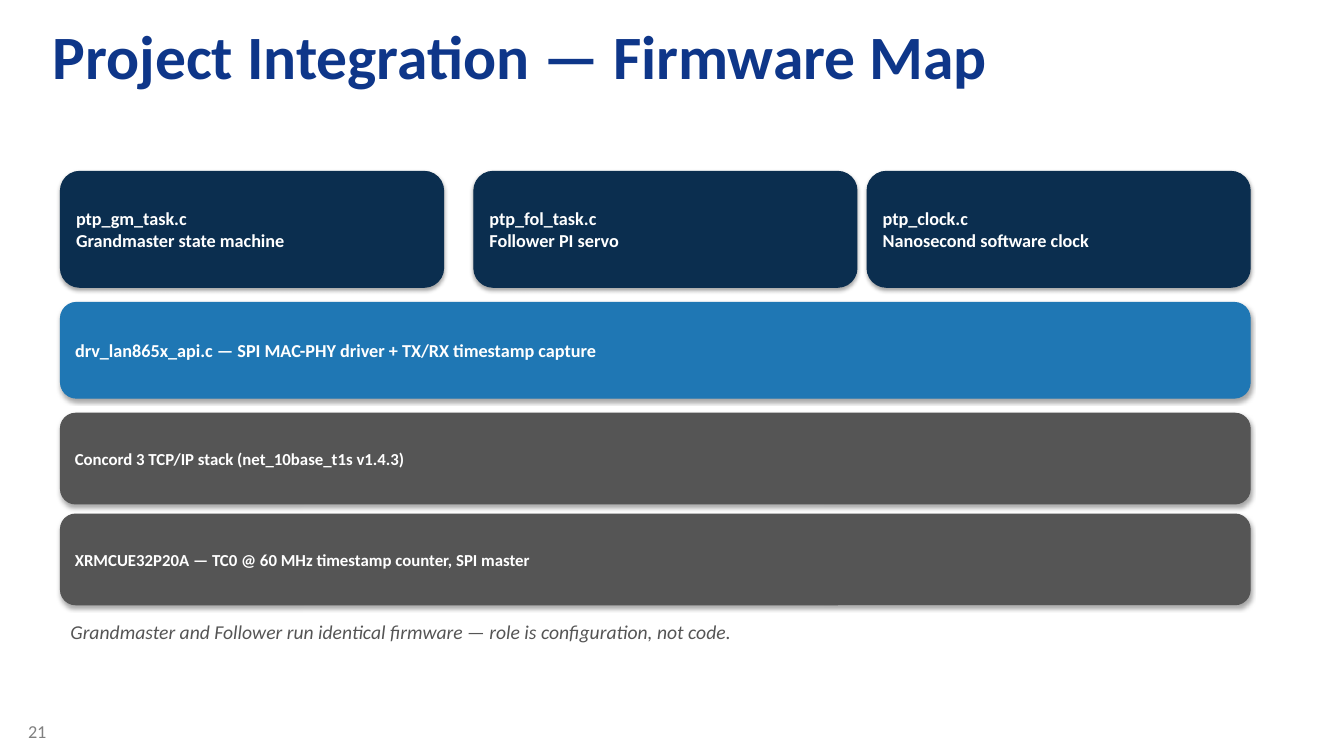
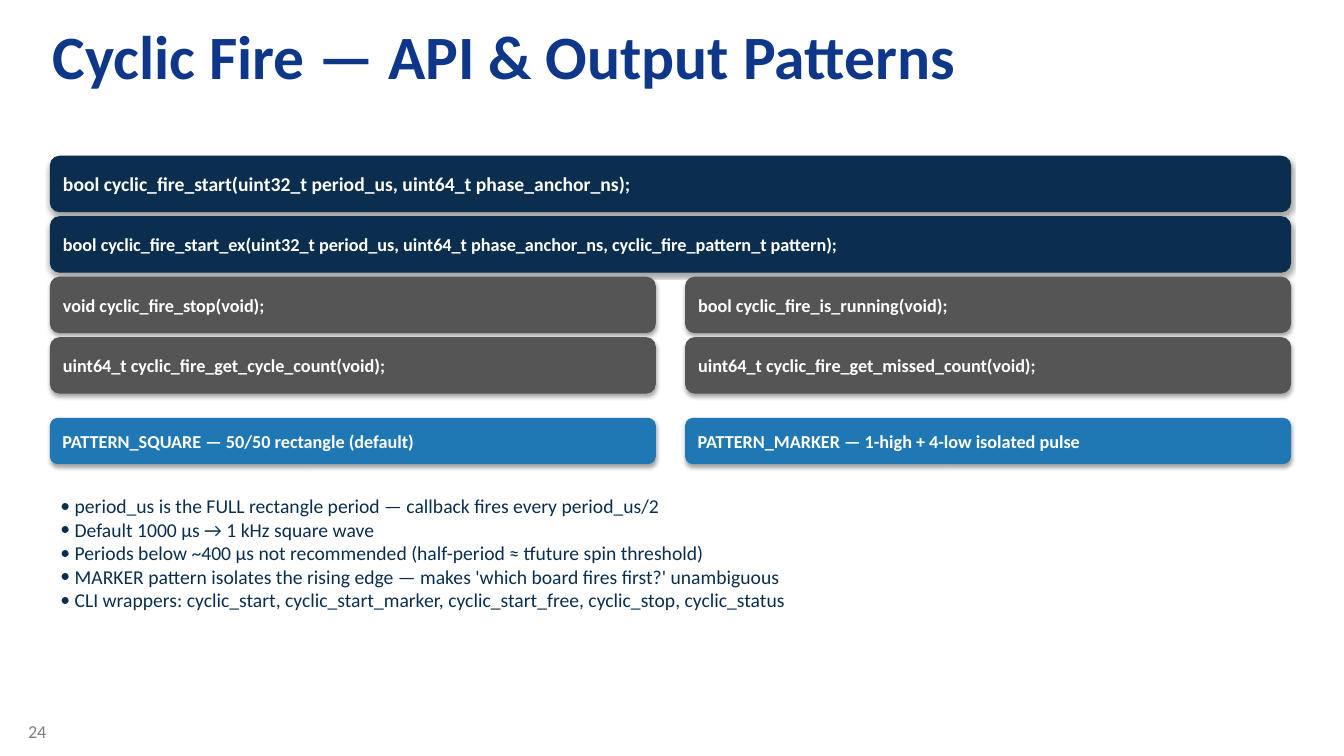
from dataclasses import dataclass

from lxml.etree import SubElement
from pptx import Presentation
from pptx.dml.color import RGBColor
from pptx.enum.shapes import MSO_SHAPE
from pptx.enum.text import MSO_ANCHOR, MSO_AUTO_SIZE, PP_ALIGN
from pptx.oxml.ns import qn
from pptx.presentation import Presentation as Deck
from pptx.shapes.base import BaseShape
from pptx.slide import Slide
from pptx.text.text import Font
from pptx.util import Emu, Inches, Pt

FONT_NAME = "Calibri"
TITLE_BLUE = "0E3689"
NAVY = "0B2E4F"
BLUE = "1F77B4"
GRAY = "555555"
NUMBER_GRAY = "808080"
WHITE = "FFFFFF"

TITLE_ONLY_LAYOUT = 5
TITLE_AND_BODY_LAYOUT = 1


@dataclass(frozen=True)
class Card:
    """A rounded box with left-aligned bold lines, measured in inches."""

    lines: tuple[str, ...]
    left: float
    top: float
    width: float
    height: float
    color: str
    size: float = 13


def rgb(color: str) -> RGBColor:
    """Turn a hex string into a colour."""
    return RGBColor.from_string(color)


def style_font(font: Font, size: float, color: str, bold: bool = False, italic: bool = False) -> None:
    """Apply the deck's typeface with the given size, colour and weight."""
    font.name = FONT_NAME
    font.size = Pt(size)
    font.bold = bold
    font.italic = italic
    font.color.rgb = rgb(color)


def place(shape: BaseShape, left: float, top: float, width: float, height: float) -> None:
    """Move and size a shape in inches."""
    shape.left, shape.top = Inches(left), Inches(top)
    shape.width, shape.height = Inches(width), Inches(height)


def add_soft_shadow(shape: BaseShape) -> None:
    """Give a shape a faint shadow straight below it."""
    shape.shadow.inherit = False
    effects = shape._element.spPr.find(qn("a:effectLst"))
    shadow = SubElement(effects, qn("a:outerShdw"), blurRad=str(Pt(3.1)), dist=str(Pt(1.8)),
                        dir="5400000", rotWithShape="0")
    color = SubElement(shadow, qn("a:srgbClr"), val="000000")
    SubElement(color, qn("a:alpha"), val="35000")


def add_card(slide: Slide, card: Card) -> None:
    """Draw one card."""
    shape = slide.shapes.add_shape(
        MSO_SHAPE.ROUNDED_RECTANGLE, Inches(card.left), Inches(card.top),
        Inches(card.width), Inches(card.height))
    shape.fill.solid()
    shape.fill.fore_color.rgb = rgb(card.color)
    shape.line.color.rgb = rgb(card.color)
    shape.line.width = Pt(0.75)
    add_soft_shadow(shape)
    frame = shape.text_frame
    frame.word_wrap = True
    frame.vertical_anchor = MSO_ANCHOR.MIDDLE
    paragraph = frame.paragraphs[0]
    paragraph.alignment = PP_ALIGN.LEFT
    for index, line in enumerate(card.lines):
        if index:
            paragraph.add_line_break()
        run = paragraph.add_run()
        run.text = line
        style_font(run.font, card.size, WHITE, bold=True)


def add_label(slide: Slide, text: str, left: float, top: float, width: float, height: float,
              size: float, color: str, italic: bool = False) -> None:
    """Add a single line of plain text."""
    label = slide.shapes.add_textbox(Inches(left), Inches(top), Inches(width), Inches(height))
    label.text_frame.word_wrap = True
    run = label.text_frame.paragraphs[0].add_run()
    run.text = text
    style_font(run.font, size, color, italic=italic)


def add_titled_slide(presentation: Deck, layout: int, title: str, number: int) -> Slide:
    """Add a slide with the shared title style and page number."""
    slide = presentation.slides.add_slide(presentation.slide_layouts[layout])
    add_label(slide, str(number), 0.18, 7.1, 0.59, 0.4, 13, NUMBER_GRAY)
    shape = slide.shapes.title
    place(shape, 0.39, 0.11, 12.47, 1.75)
    frame = shape.text_frame
    frame.auto_size = MSO_AUTO_SIZE.NONE
    frame.vertical_anchor = MSO_ANCHOR.TOP
    frame.margin_left = frame.margin_right = Inches(0.13)
    frame.margin_top = frame.margin_bottom = Inches(0.07)
    paragraph = frame.paragraphs[0]
    paragraph.alignment = PP_ALIGN.LEFT
    run = paragraph.add_run()
    run.text = title
    style_font(run.font, 44, TITLE_BLUE, bold=True)
    return slide


def fill_bullets(shape: BaseShape, items: list[str]) -> None:
    """Write a bulleted list into a body placeholder."""
    indent = Inches(0.14)
    frame = shape.text_frame
    frame.auto_size = MSO_AUTO_SIZE.NONE
    for index, item in enumerate(items):
        paragraph = frame.add_paragraph() if index else frame.paragraphs[0]
        paragraph.space_before = Pt(0)
        properties = paragraph._p.get_or_add_pPr()
        properties.set("marL", str(indent))
        properties.set("indent", str(Emu(-indent)))
        SubElement(properties, qn("a:buFont"), typeface=FONT_NAME)
        SubElement(properties, qn("a:buChar"), char="•")
        run = paragraph.add_run()
        run.text = item
        style_font(run.font, 14, NAVY)


def build_firmware_map(presentation: Deck) -> None:
    """Build the slide with the firmware layers."""
    slide = add_titled_slide(
        presentation, TITLE_ONLY_LAYOUT, "Project Integration — Firmware Map", 21)
    left, full_width = 0.6, 11.8
    tasks = [
        (left, "ptp_gm_task.c", "Grandmaster state machine"),
        (4.7, "ptp_fol_task.c", "Follower PI servo"),
        (8.6, "ptp_clock.c", "Nanosecond software clock"),
    ]
    cards = [Card((file, role), task_left, 1.7, 3.8, 1.15, NAVY) for task_left, file, role in tasks]
    layers = [
        ("drv_lan865x_api.c — SPI MAC-PHY driver + TX/RX timestamp capture", 3, 0.95, BLUE, 13),
        ("Concord 3 TCP/IP stack (net_10base_t1s v1.4.3)", 4.1, 0.9, GRAY, 12),
        ("XRMCUE32P20A — TC0 @ 60 MHz timestamp counter, SPI master", 5.1, 0.9, GRAY, 12),
    ]
    cards += [Card((text,), left, top, full_width, height, color, size)
              for text, top, height, color, size in layers]
    for card in cards:
        add_card(slide, card)
    add_label(slide, "Grandmaster and Follower run identical firmware — role is configuration, not code.",
              left, 6.1, 12, 0.3, 14, GRAY, italic=True)


def build_cyclic_fire(presentation: Deck) -> None:
    """Build the slide with the function signatures and patterns."""
    slide = add_titled_slide(
        presentation, TITLE_AND_BODY_LAYOUT, "Cyclic Fire — API & Output Patterns", 24)
    left, full_width, column_width, column_pitch = 0.5, 12.3, 6, 6.3
    first_top, row_pitch, row_height = 1.55, 0.6, 0.55
    starts = [
        ("bool cyclic_fire_start(uint32_t period_us, uint64_t phase_anchor_ns);", 14),
        ("bool cyclic_fire_start_ex(uint32_t period_us, uint64_t phase_anchor_ns, "
         "cyclic_fire_pattern_t pattern);", 13),
    ]
    cards = [Card((text,), left, first_top + row * row_pitch, full_width, row_height, NAVY, size)
             for row, (text, size) in enumerate(starts)]
    pairs_top = first_top + len(starts) * row_pitch
    pairs = [
        (pairs_top, row_height, GRAY,
         ("void cyclic_fire_stop(void);", "bool cyclic_fire_is_running(void);")),
        (pairs_top + row_pitch, row_height, GRAY,
         ("uint64_t cyclic_fire_get_cycle_count(void);",
          "uint64_t cyclic_fire_get_missed_count(void);")),
        (4.15, 0.45, BLUE,
         ("PATTERN_SQUARE — 50/50 rectangle (default)",
          "PATTERN_MARKER — 1-high + 4-low isolated pulse")),
    ]
    cards += [Card((text,), left + column * column_pitch, top, column_width, height, color)
              for top, height, color, texts in pairs
              for column, text in enumerate(texts)]
    for card in cards:
        add_card(slide, card)
    body = slide.placeholders[1]
    place(body, left, 4.85, full_width, 2.2)
    fill_bullets(body, [
        "period_us is the FULL rectangle period — callback fires every period_us/2",
        "Default 1000 µs → 1 kHz square wave",
        "Periods below ~400 µs not recommended (half-period ≈ tfuture spin threshold)",
        "MARKER pattern isolates the rising edge — makes 'which board fires first?' unambiguous",
        "CLI wrappers: cyclic_start, cyclic_start_marker, cyclic_start_free, cyclic_stop, cyclic_status",
    ])


def main() -> None:
    """Build and save the presentation."""
    presentation = Presentation()
    presentation.slide_width, presentation.slide_height = Inches(13.33), Inches(7.5)
    build_firmware_map(presentation)
    build_cyclic_fire(presentation)
    presentation.save("out.pptx")


if __name__ == "__main__":
    main()
